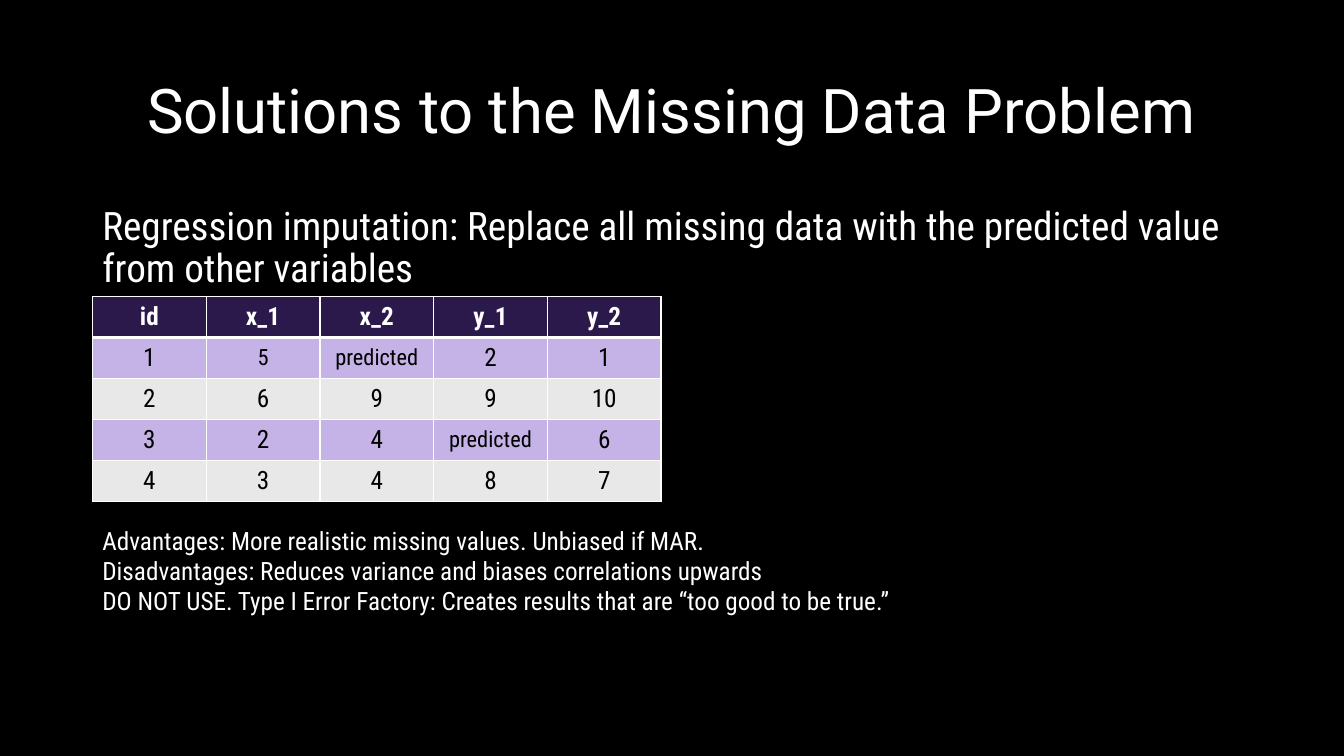
from lxml.etree import SubElement
from pptx import Presentation
from pptx.dml.color import RGBColor
from pptx.enum.text import MSO_ANCHOR, MSO_AUTO_SIZE, PP_ALIGN
from pptx.oxml.ns import qn
from pptx.util import Cm, Pt

BLACK = RGBColor(0x00, 0x00, 0x00)
WHITE = RGBColor(0xFF, 0xFF, 0xFF)
DARK_PURPLE = RGBColor(0x2C, 0x19, 0x4C)
LILAC = RGBColor(0xC5, 0xB2, 0xE6)
PALE_GREY = RGBColor(0xE8, 0xE8, 0xE9)

HEADING_FONT = "Roboto"
BODY_FONT = "Roboto Condensed"

DATA_ROWS = [
    ["id", "x_1", "x_2", "y_1", "y_2"],
    ["1", "5", "predicted", "2", "1"],
    ["2", "6", "9", "9", "10"],
    ["3", "2", "4", "predicted", "6"],
    ["4", "3", "4", "8", "7"],
]
SMALL_CELLS = {(1, 1), (1, 2), (3, 3)}
ASSESSMENT = [
    "Advantages: More realistic missing values. Unbiased if MAR.",
    "Disadvantages: Reduces variance and biases correlations upwards",
    "DO NOT USE. Type I Error Factory: Creates results that are “too good to be true.”",
]


def apply_format(target, values):
    """Set every attribute named in the dict on the target."""
    for name, value in values.items():
        setattr(target, name, value)


def write_paragraph(paragraph, text, font, color, layout):
    """Write one formatted run and lay out its paragraph."""
    run = paragraph.add_run()
    run.text = text
    apply_format(run.font, font)
    run.font.color.rgb = color
    apply_format(paragraph, layout)


def add_title(slide, box, text):
    """Place and format the title placeholder in the box."""
    title = slide.shapes.title
    apply_format(title, dict(zip(("left", "top", "width", "height"), box)))
    apply_format(title.text_frame, {
        "word_wrap": True,
        "auto_size": MSO_AUTO_SIZE.NONE,
        "vertical_anchor": MSO_ANCHOR.MIDDLE,
    })
    write_paragraph(
        title.text_frame.paragraphs[0], text,
        {"name": HEADING_FONT, "size": Pt(44)}, WHITE,
        {"alignment": PP_ALIGN.CENTER, "line_spacing": 0.9},
    )


def add_text(slide, box, lines, size, layout):
    """Place a wrapped text box with one paragraph for each line."""
    frame = slide.shapes.add_textbox(*box).text_frame
    frame.word_wrap = True
    for index, line in enumerate(lines):
        paragraph = frame.add_paragraph() if index else frame.paragraphs[0]
        write_paragraph(
            paragraph, line, {"name": BODY_FONT, "size": size}, WHITE, layout)


def set_borders(cell, widths):
    """Draw white borders of the given widths around a cell."""
    properties = cell._tc.get_or_add_tcPr()
    for side, width in widths.items():
        line = SubElement(properties, qn(f"a:{side}"), w=str(Pt(width)))
        fill = SubElement(line, qn("a:solidFill"))
        SubElement(fill, qn("a:srgbClr"), val=str(WHITE))


def format_cell(cell, text, row, column):
    """Write a cell and colour it by its row."""
    header = row == 0
    set_borders(cell, {
        "lnL": 1, "lnR": 1,
        "lnT": 3 if row == 1 else 1,
        "lnB": 3 if header else 1,
    })
    cell.fill.solid()
    band = LILAC if row % 2 else PALE_GREY
    cell.fill.fore_color.rgb = DARK_PURPLE if header else band
    cell.vertical_anchor = MSO_ANCHOR.MIDDLE
    size = Pt(16 if (row, column) in SMALL_CELLS else 18)
    write_paragraph(
        cell.text_frame.paragraphs[0], text,
        {"name": BODY_FONT, "size": size, "bold": header},
        WHITE if header else BLACK, {"alignment": PP_ALIGN.CENTER},
    )


def add_data_table(slide, box, rows):
    """Fill the box with an evenly divided table."""
    table = slide.shapes.add_table(len(rows), len(rows[0]), *box).table
    for row, texts in enumerate(rows):
        for column, text in enumerate(texts):
            format_cell(table.cell(row, column), text, row, column)


def build_solution_slide(presentation):
    """Add the regression imputation slide."""
    slide = presentation.slides.add_slide(presentation.slide_layouts[5])
    slide.background.fill.solid()
    slide.background.fill.fore_color.rgb = BLACK
    left, width = Cm(2.33), Cm(29.21)
    add_title(slide, (left, Cm(1.02), width, Cm(3.68)),
              "Solutions to the Missing Data Problem")
    add_text(
        slide, (left, Cm(5.08), width, Cm(12.09)),
        ["Regression imputation: Replace all missing data with the "
         "predicted value from other variables"],
        Pt(28), {"line_spacing": 0.9, "space_before": Pt(10)},
    )
    add_data_table(slide, (left, Cm(7.47), Cm(14.33), Cm(5.16)), DATA_ROWS)
    add_text(slide, (left, Cm(13.11), Cm(22.17), Cm(2.57)),
             ASSESSMENT, Pt(18), {})


def main():
    """Build and save the presentation."""
    presentation = Presentation()
    apply_format(presentation,
                 {"slide_width": Cm(33.87), "slide_height": Cm(19.05)})
    build_solution_slide(presentation)
    presentation.save("out.pptx")


if __name__ == "__main__":
    main()
